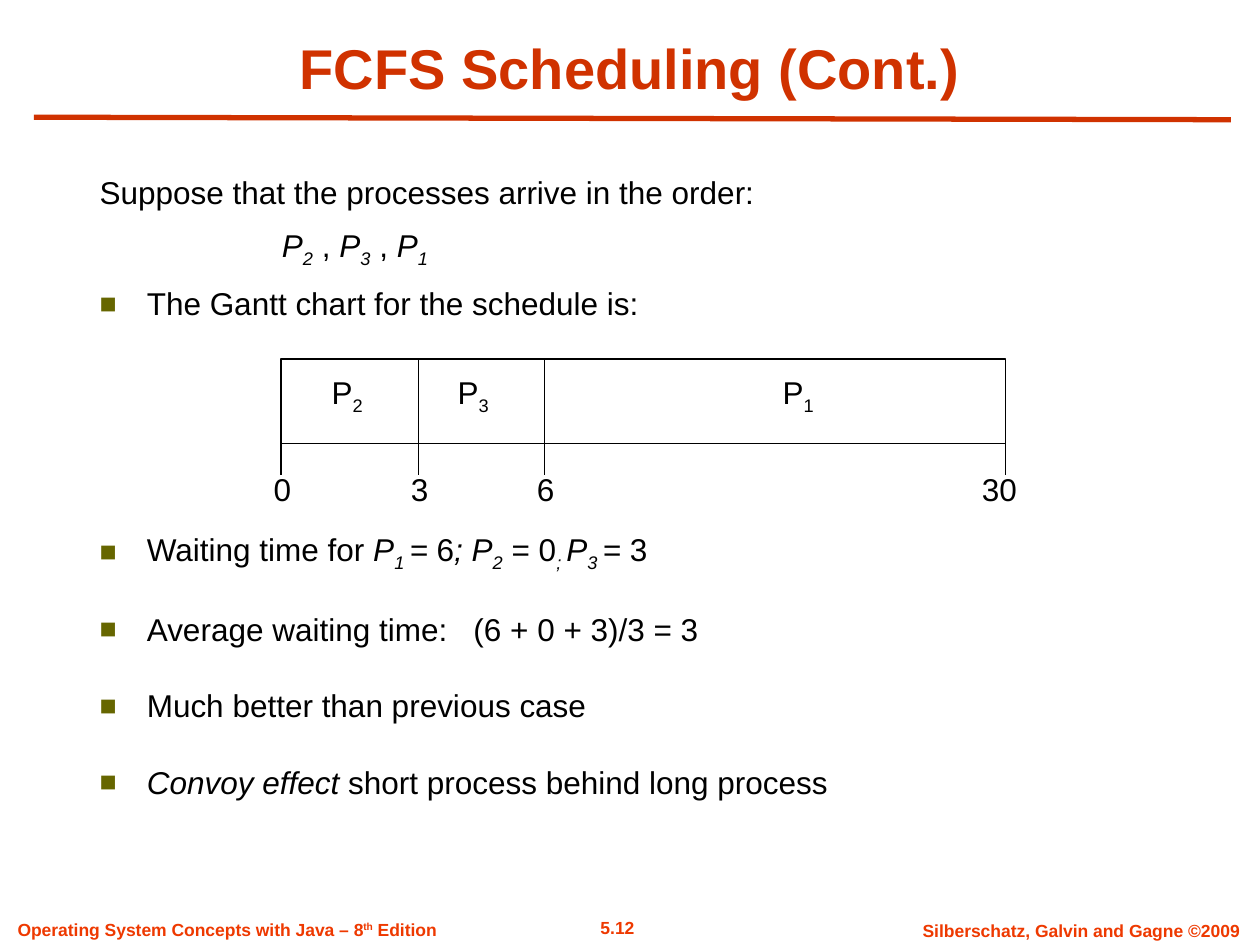
import dataclasses

import lxml.etree
import pptx
import pptx.dml.color
import pptx.enum.shapes
import pptx.enum.text
import pptx.oxml.ns
import pptx.util

Pt = pptx.util.Pt
Align = pptx.enum.text.PP_ALIGN
Anchor = pptx.enum.text.MSO_ANCHOR


@dataclasses.dataclass(frozen=True)
class Theme:
    font: str = "Arial"
    title_color: str = "D03200"
    footer_color: str = "EE3900"
    text_color: str = "000000"
    bar_color: str = "FFFFFF"
    bullet_color: str = "666600"
    title_size: float = 32
    text_size: float = 18
    footer_size: float = 10


THEME = Theme()
BASELINES = {"_": "-25000", "^": "30000"}
HANGING_INDENT = 27

BODY = [
    (0, None, [("Suppose that the processes arrive in the order:", "")]),
    (9, 104.2, [("P", "i"), ("2", "i_"), (" , ", ""), ("P", "i"), ("3", "i_"),
                (" , ", ""), ("P", "i"), ("1", "i_")]),
    (8.7, "■", [("The Gantt chart for the schedule is:", "")]),
    (119, "■", [("Waiting time for ", ""), ("P", "i"), ("1 ", "i_"), ("=", "i"),
                (" 6", ""), ("; P", "i"), ("2", "i_"), (" = 0", ""),
                ("; ", "i_"), ("P", "i"), ("3 ", "i_"), ("= ", "i"), ("3", "")]),
    (21, "■", [("Average waiting time:   (6 + 0 + 3)/3 = 3", "")]),
    (22, "■", [("Much better than previous case", "")]),
    (22, "■", [("Convoy effect", "i"), (" short process behind long process", "")]),
]

FOOTERS = [
    ([("5.12", "")], (317.5, 522.3, 70.6, 16), Align.CENTER),
    ([("Silberschatz, Galvin and Gagne ©2009", "")], (518.8, 523.7, 198, 16), Align.CENTER),
    ([("Operating System Concepts with Java – 8", ""), ("th", "^"), (" Edition", "")],
     (10, 523, 245, 16), Align.LEFT),
]

BAR_TOP, BAR_BOTTOM, TICK_BOTTOM = 205.2, 253.4, 271.4
TIMES = [("0", 160.6, 161.3), ("3", 239, 239.8), ("6", 311, 311.8), ("30", 574.6, 571)]
PROCESSES = [("2", 198.4), ("3", 270.4), ("1", 456.1)]


def rgb(color):
    """Return the color object for a hexadecimal string."""
    return pptx.dml.color.RGBColor.from_string(color)


def write_text(paragraph, runs, *, size=THEME.text_size, color=THEME.text_color,
               bold=False, align=Align.LEFT, space_before=0):
    """Write styled runs, where i is italic, _ subscript and ^ superscript."""
    paragraph.alignment = align
    paragraph.space_before = Pt(space_before)
    for text, style in runs:
        run = paragraph.add_run()
        run.text = text
        run.font.name = THEME.font
        run.font.size = Pt(size)
        run.font.bold = bold
        run.font.italic = "i" in style
        run.font.color.rgb = rgb(color)
        for mark, baseline in BASELINES.items():
            if mark in style:
                run._r.get_or_add_rPr().set("baseline", baseline)


def set_bullet(paragraph, marker):
    """Give a paragraph a bullet character, a plain left indent, or neither."""
    properties = paragraph._p.get_or_add_pPr()
    has_bullet = isinstance(marker, str)
    left = HANGING_INDENT if has_bullet else marker or 0
    properties.set("marL", str(Pt(left)))
    properties.set("indent", str(Pt(-HANGING_INDENT if has_bullet else 0)))

    def add(parent, tag, **attributes):
        return lxml.etree.SubElement(parent, pptx.oxml.ns.qn(tag), **attributes)

    if has_bullet:
        add(add(properties, "a:buClr"), "a:srgbClr", val=THEME.bullet_color)
        add(properties, "a:buSzPct", val="90000")
        add(properties, "a:buFont", typeface=THEME.font)
        add(properties, "a:buChar", char=marker)
    else:
        add(properties, "a:buNone")


def place(shape, left, top, width, height):
    """Move and size a shape."""
    shape.left, shape.top = Pt(left), Pt(top)
    shape.width, shape.height = Pt(width), Pt(height)


def add_label(shapes, runs, box, **text_format):
    """Add a text box without margins, centred vertically."""
    frame = shapes.add_textbox(*map(Pt, box)).text_frame
    frame.word_wrap = True
    frame.vertical_anchor = Anchor.MIDDLE
    frame.margin_left = frame.margin_right = frame.margin_top = frame.margin_bottom = 0
    write_text(frame.paragraphs[0], runs, **text_format)


def add_line(shapes, start, end, color=THEME.text_color, width=0.75):
    """Add a straight line without a shadow."""
    line = shapes.add_connector(pptx.enum.shapes.MSO_CONNECTOR.STRAIGHT,
                                *map(Pt, (*start, *end)))
    line.line.color.rgb = rgb(color)
    line.line.width = Pt(width)
    lxml.etree.SubElement(line._element.spPr, pptx.oxml.ns.qn("a:effectLst"))


def fill_title(title):
    """Place and write the slide title."""
    place(title, 36, 15.8, 648, 45.4)
    frame = title.text_frame
    frame.auto_size = pptx.enum.text.MSO_AUTO_SIZE.NONE
    frame.vertical_anchor = Anchor.BOTTOM
    write_text(frame.paragraphs[0], [("FCFS Scheduling (Cont.)", "")], bold=True,
               size=THEME.title_size, color=THEME.title_color, align=Align.CENTER)


def fill_body(body):
    """Place the body and write its list."""
    place(body, 49.7, 95, 609, 390)
    frame = body.text_frame
    frame.auto_size = pptx.enum.text.MSO_AUTO_SIZE.NONE
    for index, (space_before, marker, runs) in enumerate(BODY):
        paragraph = frame.add_paragraph() if index else frame.paragraphs[0]
        write_text(paragraph, runs, space_before=space_before)
        set_bullet(paragraph, marker)


def add_gantt(slide):
    """Draw the schedule bar with its processes and time marks."""
    shapes = slide.shapes.add_group_shape().shapes
    start, end = TIMES[0][1], TIMES[-1][1]
    bar = shapes.add_shape(pptx.enum.shapes.MSO_SHAPE.RECTANGLE, Pt(start), Pt(BAR_TOP),
                           Pt(end - start), Pt(BAR_BOTTOM - BAR_TOP))
    bar.shadow.inherit = False
    bar.fill.solid()
    bar.fill.fore_color.rgb = rgb(THEME.bar_color)
    bar.line.color.rgb = rgb(THEME.text_color)
    bar.line.width = Pt(0.75)
    for number, center in PROCESSES:
        add_label(shapes, [("P", ""), (number, "_")], (center - 16, 209.5, 32, 31.7),
                  align=Align.CENTER)
    for time, position, center in TIMES:
        add_line(shapes, (position, BAR_BOTTOM), (position, TICK_BOTTOM))
        if start < position < end:
            add_line(shapes, (position, BAR_TOP), (position, BAR_BOTTOM))
        add_label(shapes, [(time, "")], (center - 17, 265, 34, 28.8), align=Align.CENTER)


def main():
    """Build and save the slide."""
    presentation = pptx.Presentation()
    presentation.slide_width, presentation.slide_height = Pt(720), Pt(540)
    slide = presentation.slides.add_slide(presentation.slide_layouts[1])
    for runs, box, align in FOOTERS:
        add_label(slide.shapes, runs, box, align=align, bold=True,
                  size=THEME.footer_size, color=THEME.footer_color)
    add_line(slide.shapes, (19.4, 67), (703.4, 68.4), THEME.title_color, 3)
    fill_title(slide.shapes.title)
    fill_body(slide.placeholders[1])
    add_gantt(slide)
    presentation.save("out.pptx")


if __name__ == "__main__":
    main()
